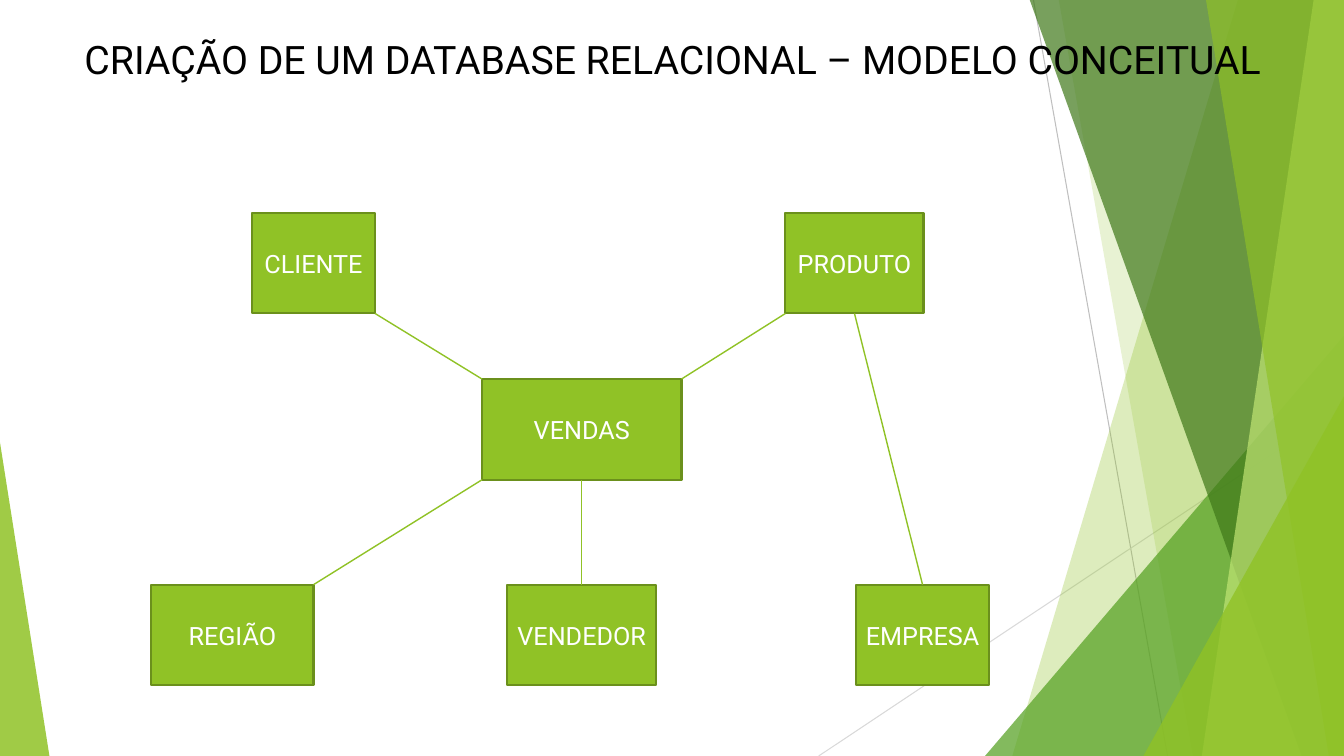
"""Builds a slide with the conceptual model of a relational sales database."""
from lxml import etree
from pptx import Presentation
from pptx.dml.color import RGBColor
from pptx.enum.shapes import MSO_CONNECTOR, MSO_SHAPE
from pptx.enum.text import MSO_ANCHOR, MSO_AUTO_SIZE, PP_ALIGN
from pptx.oxml.ns import qn
from pptx.util import Inches, Pt

RECT, TRIANGLE = MSO_SHAPE.RECTANGLE, MSO_SHAPE.ISOSCELES_TRIANGLE
STRAIGHT, CENTER = MSO_CONNECTOR.STRAIGHT, PP_ALIGN.CENTER
MIDDLE, GROW = MSO_ANCHOR.MIDDLE, MSO_AUTO_SIZE.SHAPE_TO_FIT_TEXT

W, H, BLEED = 13.33, 7.5, -0.01
FONT, GREEN, BORDER = "Roboto", "90C226", "6B901C"
TITLE = "CRIAÇÃO DE UM DATABASE RELACIONAL – MODELO CONCEITUAL"
TITLE_BOX = (0.49, 0.3, 12.36, 0.57)

HAIRLINES = [((10.25, 0), (11.58, H), "BFBFBF"), ((W, 4.03), (8.12, H), "D9D9D9")]
DECOR = [
    ("band", (12.28, 10.04), GREEN, 30),
    ("band", (10.5, 11.83), GREEN, 20),
    ("triangle", (9.77, 3.33, 3.56, 1), "54A021", 72),
    ("band", (10.21, 12.91), "3F7819", 70),
    ("band", (13.03, 11.92), "C0E474", 70),
    ("band", (11.96, 13.18), GREEN, 65),
    ("triangle", (11.34, 3.93, 1.99, 1), GREEN, 80),
    ("triangle", (0, 4.39, 0.49, 0), GREEN, 85),
]

ROWS, BOX_H = (2.11, 3.76, 5.8), 1
ENTITIES = {
    "CLIENTE": (2.5, 0, 1.22),
    "VENDAS": (4.78, 1, 1.98),
    "PRODUTO": (7.79, 0, 1.37),
    "REGIÃO": (1.5, 2, 1.61),
    "VENDEDOR": (5.03, 2, 1.48),
    "EMPRESA": (8.49, 2, 1.32),
}
LINKS = [
    ("CLIENTE", (1, 1), "VENDAS", (0, 0)),
    ("PRODUTO", (0, 1), "VENDAS", (1, 0)),
    ("REGIÃO", (1, 0), "VENDAS", (0, 1)),
    ("VENDEDOR", (0.5, 0), "VENDAS", (0.5, 1)),
    ("PRODUTO", (0.5, 1), "EMPRESA", (0.5, 0)),
]


def rgb(color):
    return RGBColor.from_string(color)


def inches(*values):
    return [Inches(v) for v in values]


def set_all(obj, values):
    for name, value in values.items():
        setattr(obj, name, value)


def paint(sp, color, opacity=100):
    sp.shadow.inherit = False
    sp.fill.solid()
    sp.fill.fore_color.rgb = rgb(color)
    if opacity < 100:
        clr = sp.fill._xPr.find(qn("a:solidFill"))[0]
        etree.SubElement(clr, qn("a:alpha"), val=str(opacity * 1000))


def write(sp, text, size, color, frame):
    tf = sp.text_frame
    set_all(tf, frame)
    p = tf.paragraphs[0]
    p.alignment = CENTER
    r = p.add_run()
    r.text = text
    set_all(r.font, {"size": Pt(size), "name": FONT})
    r.font.color.rgb = rgb(color)


def add_line(shapes, start, end, color, width):
    line = shapes.add_connector(STRAIGHT, *inches(*start, *end))
    set_all(line.line, {"width": Pt(width)})
    line.line.color.rgb = rgb(color)
    etree.SubElement(line._element.spPr, qn("a:effectLst"))


def add_decor(shapes, kind, geometry, color, opacity):
    if kind == "band":
        top, bottom = geometry
        corners = [(W, BLEED), (W, H), (bottom, H)]
        builder = shapes.build_freeform(*inches(top, BLEED))
        builder.add_line_segments([inches(*c) for c in corners], close=True)
        sp = builder.convert_to_shape()
    else:
        left, top, width, apex = geometry
        sp = shapes.add_shape(TRIANGLE, *inches(left, top, width, H - top))
        sp.adjustments[0] = apex
    paint(sp, color, opacity)
    sp.line.fill.background()


def anchor(name, share):
    left, row, width = ENTITIES[name]
    return left + share[0] * width, ROWS[row] + share[1] * BOX_H


def main():
    prs = Presentation()
    set_all(prs, {"slide_width": Inches(W), "slide_height": Inches(H)})
    shapes = prs.slides.add_slide(prs.slide_layouts[6]).shapes

    for start, end, color in HAIRLINES:
        add_line(shapes, start, end, color, 0.75)
    for item in DECOR:
        add_decor(shapes, *item)

    title = shapes.add_textbox(*inches(*TITLE_BOX))
    write(title, TITLE, 28, "000000", {"word_wrap": True, "auto_size": GROW})

    for name, (left, row, width) in ENTITIES.items():
        sp = shapes.add_shape(RECT, *inches(left, ROWS[row], width, BOX_H))
        paint(sp, GREEN)
        sp.line.color.rgb = rgb(BORDER)
        sp.line.width = Pt(1.5)
        write(sp, name, 18, "FFFFFF", {"word_wrap": False, "vertical_anchor": MIDDLE})

    for source, source_share, target, target_share in LINKS:
        add_line(shapes, anchor(source, source_share), anchor(target, target_share), GREEN, 1)

    prs.save("out.pptx")


if __name__ == "__main__":
    main()
